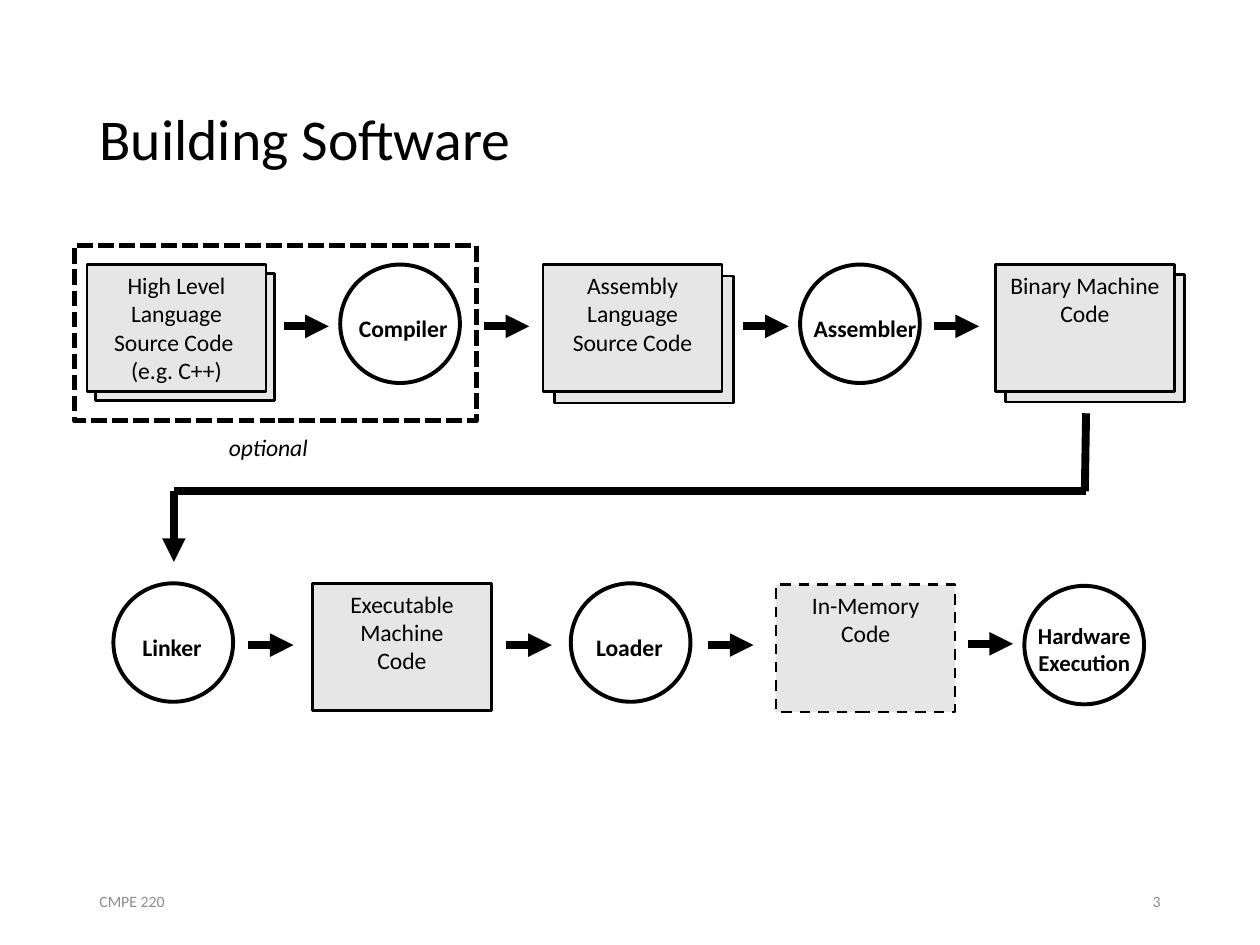
from dataclasses import dataclass
from typing import Any, Optional

from lxml.etree import SubElement
from pptx import Presentation
from pptx.dml.color import RGBColor
from pptx.enum.dml import MSO_LINE_DASH_STYLE as Dash
from pptx.enum.shapes import MSO_CONNECTOR as Connector, MSO_SHAPE as Shape
from pptx.enum.text import MSO_ANCHOR as Anchor, PP_ALIGN as Align
from pptx.oxml.ns import qn
from pptx.util import Inches, Pt


@dataclass(frozen=True)
class Theme:
    font: str = "Calibri"
    ink: RGBColor = RGBColor(0, 0, 0)
    muted: RGBColor = RGBColor(0x8C, 0x8C, 0x8C)
    paper: RGBColor = RGBColor(0xE7, 0xE6, 0xE6)
    title: float = 33
    body: float = 13.5
    small_label: float = 13
    footer: float = 9
    box_line: float = 1.5
    circle_line: float = 2.25
    frame_line: float = 3
    arrow_line: float = 4.5


@dataclass(frozen=True)
class Artifact:
    left: float
    top: float
    lines: tuple[str, ...]
    sheet_offset: float = 0
    dash: Optional[Dash] = None


@dataclass(frozen=True)
class Label:
    left: float
    top: float
    width: float
    height: float
    text: str
    size: float
    align: Align = Align.CENTER
    color: RGBColor = Theme.ink
    bold: bool = False
    italic: bool = False
    wrap: bool = True
    spacing: float = 1.0


@dataclass(frozen=True)
class Tool:
    left: float
    top: float
    label: Label


@dataclass(frozen=True)
class Arrow:
    start: tuple[float, float]
    end: tuple[float, float]
    head: bool = True


THEME = Theme()
BOX_SIZE = (1.42, 1.01)
CIRCLE_SIZE = (0.95, 0.94)
ARROW_LENGTH = 0.36
TOP_ROW, BOTTOM_ROW = 2.1, 4.63

ARTIFACTS = (
    Artifact(0.69, TOP_ROW, ("High Level Language Source Code \n(e.g. C++)",), 0.07),
    Artifact(4.31, TOP_ROW, ("Assembly Language Source Code",), 0.09),
    Artifact(7.9, TOP_ROW, ("Binary Machine Code",), 0.08),
    Artifact(2.48, BOTTOM_ROW, ("Executable", "Machine\nCode")),
    Artifact(6.16, 4.64, ("In-Memory", "Code"), dash=Dash.DASH),
)
TOOLS = (
    Tool(2.7, TOP_ROW, Label(2.74, 2.44, 0.92, 0.33, "Compiler", THEME.body, bold=True, wrap=False)),
    Tool(6.35, TOP_ROW, Label(6.35, 2.44, 1.03, 0.33, "Assembler", THEME.body, bold=True, wrap=False)),
    Tool(0.9, BOTTOM_ROW, Label(0.96, 4.97, 0.81, 0.33, "Linker", THEME.body, bold=True)),
    Tool(4.53, BOTTOM_ROW, Label(4.59, 4.97, 0.81, 0.33, "Loader", THEME.body, bold=True)),
    Tool(8.13, 4.65, Label(8.13, 4.88, 0.95, 0.54, "Hardware\nExecution", THEME.small_label, bold=True)),
)
STEP_STARTS = (
    (2.25, 2.59), (3.84, 2.59), (5.9, 2.59), (7.41, 2.59),
    (1.97, 5.12), (4.02, 5.12), (5.62, 5.12), (7.68, 5.11),
)
RETURN_PATH = (
    Arrow((1.38, 3.9), (8.62, 3.9), head=False),
    Arrow((8.62, 3.28), (8.61, 3.9), head=False),
    Arrow((1.38, 3.9), (1.38, 4.46)),
)
CAPTIONS = (
    Label(0.69, 0.4, 8.62, 1.45, "Building Software", THEME.title, Align.LEFT, spacing=0.9),
    Label(0.69, 6.95, 2.25, 0.4, "CMPE 220", THEME.footer, Align.LEFT, THEME.muted),
    Label(7.06, 6.95, 2.25, 0.4, "3", THEME.footer, Align.RIGHT, THEME.muted),
    Label(1.71, 3.38, 0.84, 0.33, "optional", THEME.body, italic=True, wrap=False),
)


def apply_format(target: Any, values: dict[str, Any]) -> None:
    for name, value in values.items():
        setattr(target, name, value)


def write_paragraph(paragraph: Any, text: str, align: Align, color: RGBColor, **font: Any) -> None:
    paragraph.text = text
    paragraph.alignment = align
    for run in paragraph.runs:
        apply_format(run.font, {"name": THEME.font, **font})
        run.font.color.rgb = color


def draw_outline(slide: Any, kind: Shape, left: float, top: float, size: tuple[float, float],
                 weight: float, fill: Optional[RGBColor] = None, dash: Optional[Dash] = None) -> Any:
    outline = slide.shapes.add_shape(kind, *map(Inches, (left, top, *size)))
    outline.shadow.inherit = False
    if fill is None:
        outline.fill.background()
    else:
        outline.fill.solid()
        outline.fill.fore_color.rgb = fill
    outline.line.color.rgb = THEME.ink
    apply_format(outline.line, {"width": Pt(weight), "dash_style": dash})
    return outline


def draw_label(slide: Any, label: Label) -> None:
    frame = slide.shapes.add_textbox(
        *map(Inches, (label.left, label.top, label.width, label.height))).text_frame
    apply_format(frame, {"word_wrap": label.wrap, "vertical_anchor": Anchor.MIDDLE})
    write_paragraph(frame.paragraphs[0], label.text, label.align, label.color,
                    size=Pt(label.size), bold=label.bold, italic=label.italic)
    frame.paragraphs[0].line_spacing = label.spacing


def draw_artifact(slide: Any, artifact: Artifact) -> None:
    offset = artifact.sheet_offset
    if offset:
        draw_outline(slide, Shape.RECTANGLE, artifact.left + offset, artifact.top + offset,
                     BOX_SIZE, THEME.box_line, THEME.paper)
    box = draw_outline(slide, Shape.RECTANGLE, artifact.left, artifact.top,
                       BOX_SIZE, THEME.box_line, THEME.paper, artifact.dash)
    frame = box.text_frame
    apply_format(frame, {"word_wrap": True, "vertical_anchor": Anchor.TOP})
    for index, line in enumerate(artifact.lines):
        paragraph = frame.add_paragraph() if index else frame.paragraphs[0]
        write_paragraph(paragraph, line, Align.CENTER, THEME.ink, size=Pt(THEME.body))


def draw_tool(slide: Any, tool: Tool) -> None:
    draw_outline(slide, Shape.OVAL, tool.left, tool.top, CIRCLE_SIZE, THEME.circle_line)
    draw_label(slide, tool.label)


def draw_arrow(slide: Any, arrow: Arrow) -> None:
    connector = slide.shapes.add_connector(
        Connector.STRAIGHT, *map(Inches, (*arrow.start, *arrow.end)))
    connector.line.color.rgb = THEME.ink
    connector.line.width = Pt(THEME.arrow_line)
    if arrow.head:
        SubElement(connector.line._get_or_add_ln(), qn("a:tailEnd"), type="triangle")
    SubElement(connector._element.spPr, qn("a:effectLst"))


def main() -> None:
    """Build the software toolchain slide and save it."""
    deck = Presentation()
    apply_format(deck, {"slide_width": Inches(10), "slide_height": Inches(7.5)})
    slide = deck.slides.add_slide(deck.slide_layouts[6])
    for artifact in ARTIFACTS:
        draw_artifact(slide, artifact)
    for tool in TOOLS:
        draw_tool(slide, tool)
    for x, y in STEP_STARTS:
        draw_arrow(slide, Arrow((x, y), (x + ARROW_LENGTH, y)))
    for segment in RETURN_PATH:
        draw_arrow(slide, segment)
    draw_outline(slide, Shape.RECTANGLE, 0.59, 1.95, (3.19, 1.39),
                 THEME.frame_line, dash=Dash.SQUARE_DOT)
    for caption in CAPTIONS:
        draw_label(slide, caption)
    deck.save("out.pptx")


if __name__ == "__main__":
    main()
